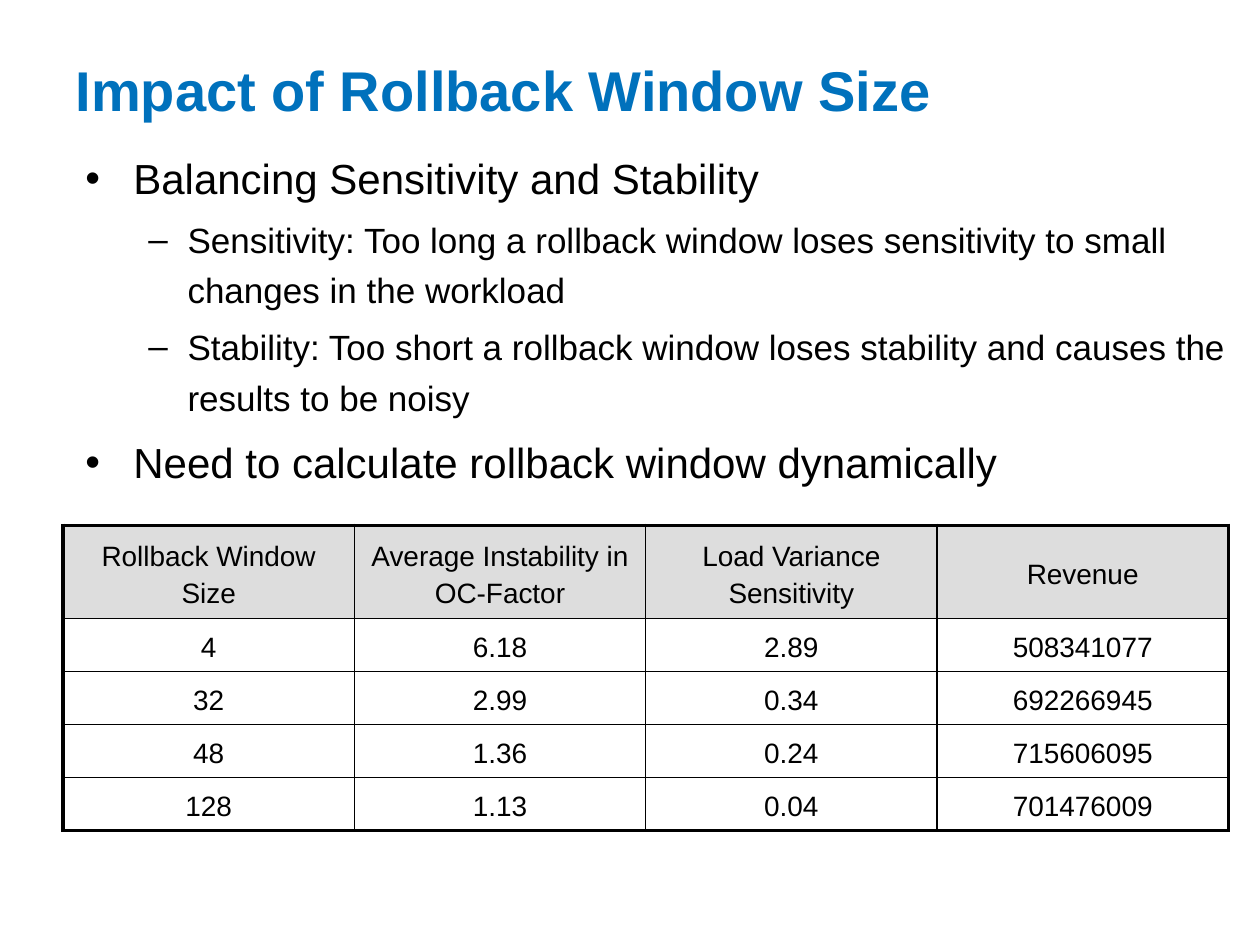
from lxml.etree import SubElement
from pptx import Presentation
from pptx.dml.color import RGBColor
from pptx.enum.text import MSO_ANCHOR as Anchor, PP_ALIGN as Align
from pptx.oxml.ns import qn
from pptx.util import Inches, Pt

# Content
TITLE = "Impact of Rollback Window Size"
BULLETS = [
    (0, "Balancing Sensitivity and Stability"),
    (1, "Sensitivity: Too long a rollback window loses sensitivity to small "
        "changes in the workload"),
    (1, "Stability: Too short a rollback window loses stability and causes "
        "the results to be noisy"),
    (0, "Need to calculate rollback window dynamically"),
]
RESULTS = [
    ("Rollback Window Size", "Average Instability in OC-Factor",
     "Load Variance Sensitivity", "Revenue"),
    ("4", "6.18", "2.89", "508341077"),
    ("32", "2.99", "0.34", "692266945"),
    ("48", "1.36", "0.24", "715606095"),
    ("128", "1.13", "0.04", "701476009"),
]

# Style: bullet, size, left margin and hanging indent for each level
LEVELS = [("•", 24, 0.38, 0.38), ("–", 20, 0.81, 0.31)]
FONT, BLACK, BLUE, GRAY, WHITE = "Arial", "000000", "0071BC", "DDDDDD", "FFFFFF"
TABLE_WIDTH, HEADER_HEIGHT, ROW_HEIGHT = 9.25, 0.69, 0.4
OUTER_LINE, INNER_LINE = 2.25, 1


def color(hex_code):
    return RGBColor.from_string(hex_code)


def add_run(paragraph, text, size, hex_code=BLACK, bold=False):
    run = paragraph.add_run()
    run.text = text
    run.font.name, run.font.size, run.font.bold = FONT, Pt(size), bold
    run.font.color.rgb = color(hex_code)


def space_lines(paragraph, size):
    paragraph.line_spacing = 1.2
    paragraph.space_before = Pt(size * 0.2)


def set_bullet(paragraph, mark, margin, hanging):
    properties = paragraph._p.get_or_add_pPr()
    properties.set("marL", str(Inches(margin)))
    properties.set("indent", str(-Inches(hanging)))
    SubElement(properties, qn("a:buFont"), typeface=FONT)
    SubElement(properties, qn("a:buChar"), char=mark)


def add_border(cell, side, points):
    line = SubElement(cell._tc.get_or_add_tcPr(), qn(f"a:ln{side}"), w=str(Pt(points)))
    SubElement(SubElement(line, qn("a:solidFill")), qn("a:srgbClr"), val=BLACK)


deck = Presentation()
deck.slide_width, deck.slide_height = Inches(10), Inches(7.5)
slide = deck.slides.add_slide(deck.slide_layouts[5])

# Title
title = slide.shapes.title
title.left, title.top = Inches(0.5), Inches(0.17)
title.width, title.height = Inches(9), Inches(1.08)
title.text_frame.vertical_anchor = Anchor.MIDDLE
heading = title.text_frame.paragraphs[0]
heading.alignment = Align.LEFT
add_run(heading, TITLE, 32, BLUE, bold=True)

# Bullets
body = slide.shapes.add_textbox(
    Inches(0.58), Inches(1.08), Inches(9.25), Inches(2.92)).text_frame
body.word_wrap = True
for index, (level, text) in enumerate(BULLETS):
    point = body.add_paragraph() if index else body.paragraphs[0]
    mark, size, margin, hanging = LEVELS[level]
    point.level = level
    space_lines(point, size)
    set_bullet(point, mark, margin, hanging)
    add_run(point, text, size)

# Results table
last_row, last_column = len(RESULTS) - 1, len(RESULTS[0]) - 1
results = slide.shapes.add_table(
    last_row + 1, last_column + 1, Inches(0.5), Inches(4.17),
    Inches(TABLE_WIDTH), Inches(HEADER_HEIGHT + last_row * ROW_HEIGHT)).table
for r, values in enumerate(RESULTS):
    results.rows[r].height = Inches(ROW_HEIGHT if r else HEADER_HEIGHT)
    for c, value in enumerate(values):
        cell = results.cell(r, c)
        cell.vertical_anchor = Anchor.MIDDLE
        edges = {"L": c == 0, "R": c == last_column, "T": r == 0, "B": r == last_row}
        for side, is_outer in edges.items():
            add_border(cell, side, OUTER_LINE if is_outer else INNER_LINE)
        cell.fill.solid()
        cell.fill.fore_color.rgb = color(WHITE if r else GRAY)
        entry = cell.text_frame.paragraphs[0]
        entry.alignment = Align.CENTER
        space_lines(entry, 16)
        add_run(entry, value, 16)

deck.save("out.pptx")
